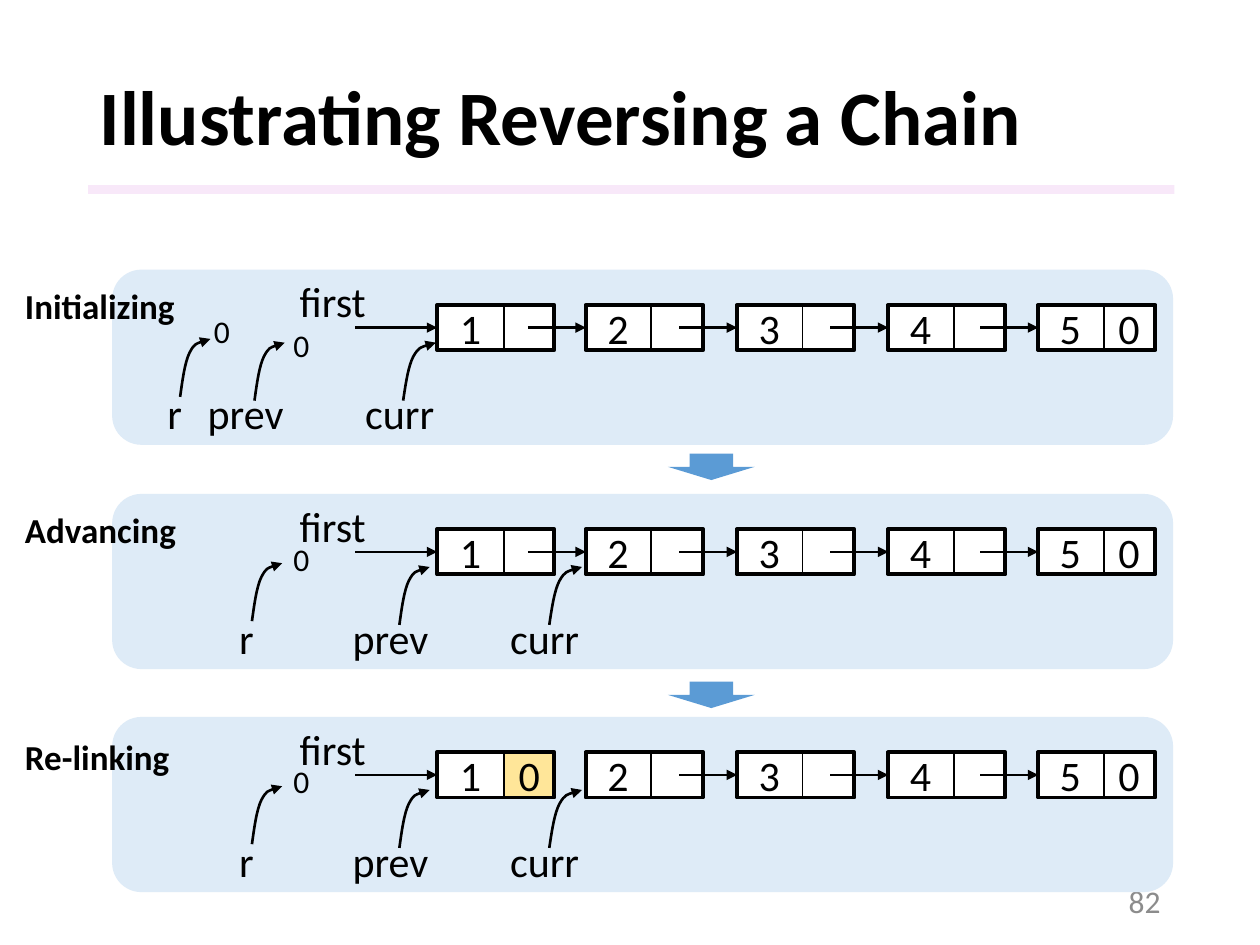
from lxml import etree
from pptx import Presentation
from pptx import util as u
from pptx.dml.color import RGBColor
from pptx.enum import shapes, text
from pptx.oxml import ns

HUES = {"ink": "000000", "white": "FFFFFF", "panel": "DEEBF7", "new": "FFE699",
        "arrow": "5B9BD5", "rule": "F3D2F4", "page": "8C8C8C"}
KIND = shapes.MSO_SHAPE
LEFT, MID, RIGHT = text.PP_ALIGN.LEFT, text.PP_ALIGN.CENTER, text.PP_ALIGN.RIGHT

deck = Presentation()
deck.slide_width, deck.slide_height = u.Inches(10), u.Inches(7.5)
slide = deck.slides.add_slide(deck.slide_layouts[5])
unit = deck.slide_width / 10  # the slide is a grid of 10 columns by 7.5 rows


def put(kind, x, y, w, h, fill=None, edge=0, words="", size=24,
        bold=False, align=LEFT, hue="ink", wrap=False):
    """Add a preset shape, or a text box when kind is None."""
    spot = [round(n * unit) for n in (x, y, w, h)]
    if kind is None:
        item = slide.shapes.add_textbox(*spot)
        item.text_frame.word_wrap = wrap
    else:
        item = slide.shapes.add_shape(kind, *spot)
        item.shadow.inherit = False
        item.fill.background()
        item.line.fill.background()
        item.text_frame.vertical_anchor = text.MSO_ANCHOR.MIDDLE
    if fill:
        item.fill.solid()
        item.fill.fore_color.rgb = RGBColor.from_string(HUES[fill])
    if edge:
        item.line.color.rgb = RGBColor.from_string(HUES["ink"])
        item.line.width = u.Pt(edge)
    if words:
        para = item.text_frame.paragraphs[0]
        para.text, para.alignment = words, align
        para.font.name, para.font.size, para.font.bold = "Calibri", u.Pt(size), bold
        para.font.color.rgb = RGBColor.from_string(HUES[hue])
    return item


def tip(item):
    """Style a line in ink with an arrowhead at its end."""
    item.line.color.rgb = RGBColor.from_string(HUES["ink"])
    item.line.width = u.Pt(1.5)
    etree.SubElement(item.line._get_or_add_ln(), ns.qn("a:tailEnd"), type="triangle")
    props = item._element.spPr
    if props.find(ns.qn("a:effectLst")) is None:
        etree.SubElement(props, ns.qn("a:effectLst"))


# Title, rule and page number
head = slide.shapes.title
head.left, head.top, head.width, head.height = [
    round(n * unit) for n in (0.69, 0.4, 8.62, 1.11)]
head.text_frame.vertical_anchor = text.MSO_ANCHOR.MIDDLE
para = head.text_frame.paragraphs[0]
para.text, para.alignment, para.line_spacing = "Illustrating Reversing a Chain", LEFT, 0.9
para.font.name, para.font.size, para.font.bold = "Calibri", u.Pt(44), True
para.font.color.rgb = RGBColor.from_string(HUES["ink"])

rule = put(KIND.RECTANGLE, 0.7, 1.47, 8.62, 0.07, "rule")
tint = rule._element.spPr.find(".//" + ns.qn("a:srgbClr"))
etree.SubElement(tint, ns.qn("a:alpha"), val="50000")
page = put(None, 7.06, 6.95, 2.25, 0.4, words="82", size=18, align=RIGHT, hue="page", wrap=True)
page.text_frame.vertical_anchor = text.MSO_ANCHOR.MIDDLE

# Per step: top, caption and its drop, label lefts, pointer starts, null marks
names = (("r", 0.32, 0.24, 1.01), ("prev", 0.81, 0.24, 1.04), ("curr", 0.76, 0.26, 1.04))
late = (1.8, 2.7, 3.95), (2, 3.17, 4.36)
steps = [
    (2.14, "Initializing", 0.07, (1.23, 1.55, 2.8), (1.43, 2.02, 3.2),
     [(1.6, 0.29), (2.23, 0.4)]),
    (3.92, "Advancing", 0.07, *late, [(2.23, 0.32)]),
    (5.69, "Re-linking", 0.1, *late, [(2.23, 0.31)]),
]
# Pointer curve: handles and ends of two Béziers, in shares of its width and height
bend = [(0.08, 0.3), (0.16, 0.6), (0.31, 0.76), (0.48, 0.93), (0.74, 0.96), (1, 1)]

lefts = (3.47, 4.64, 5.84, 7.04, 8.23)
val, ref, tall = 0.53, 0.4, 0.36

for row, (top, title, drop, marks, starts, nulls) in enumerate(steps):
    put(KIND.ROUNDED_RECTANGLE, 0.89, top, 8.42, 1.39, "panel")
    put(None, 2.28, top, 0.73, 0.5, words="first")

    # Chain of nodes, each with a value and a link
    y = top + 0.28
    frames = []
    for col, x in enumerate(lefts):
        cut = row == 2 and col == 0
        put(KIND.RECTANGLE, x, y, val, tall, "white", 1, str(col + 1), align=MID)
        put(KIND.RECTANGLE, x + val, y, ref, tall, "new" if cut else "white", 1,
            "0" if cut or col == 4 else "", align=MID)
        inset = 0.01 if col else 0
        frames.append(put(KIND.RECTANGLE, x + inset, y, val + ref, tall, edge=2.25))

    # Links into each node
    for col, (x, frame) in enumerate(zip(lefts, frames)):
        if row == 2 and col == 1:
            continue
        far = 0.45 if col else 0.65
        ends = [round(n * unit) for n in (x - far, y + tall / 2, x, y + tall / 2)]
        link = slide.shapes.add_connector(shapes.MSO_CONNECTOR.STRAIGHT, *ends)
        link.end_connect(frame, 1)
        tip(link)

    # Pointers with their labels
    for (name, wide, span, low), at, x in zip(names, marks, starts):
        pen = slide.shapes.build_freeform(round(x * unit), round((top + low) * unit))
        pen.add_line_segments([(round((x + a * span) * unit),
                                round((top + low - b * 0.46) * unit))
                               for a, b in bend], close=False)
        bow = pen.convert_to_shape()
        # Turn each three straight segments into one Bézier
        legs = list(bow._element.iter(ns.qn("a:lnTo")))
        track = legs[0].getparent()
        for n in (0, 3):
            arc = etree.SubElement(track, ns.qn("a:cubicBezTo"))
            for leg in legs[n:n + 3]:
                arc.append(leg[0])
                track.remove(leg)
        bow.shadow.inherit = False
        bow.fill.background()
        tip(bow)
        put(None, at, top + 0.89, wide, 0.5, words=name)

    # Caption and null marks
    put(None, 0.1, top + drop, 1.53, 0.44, words=title, size=20, bold=True, wrap=True)
    for x, dy in nulls:
        put(None, x, top + dy, 0.33, 0.4, words="0", size=18)

# Arrows between steps
for y in (3.36, 5.17):
    put(KIND.RIGHT_ARROW, 5.54, y, 0.21, 0.69, "arrow").rotation = 90

deck.save("out.pptx")
